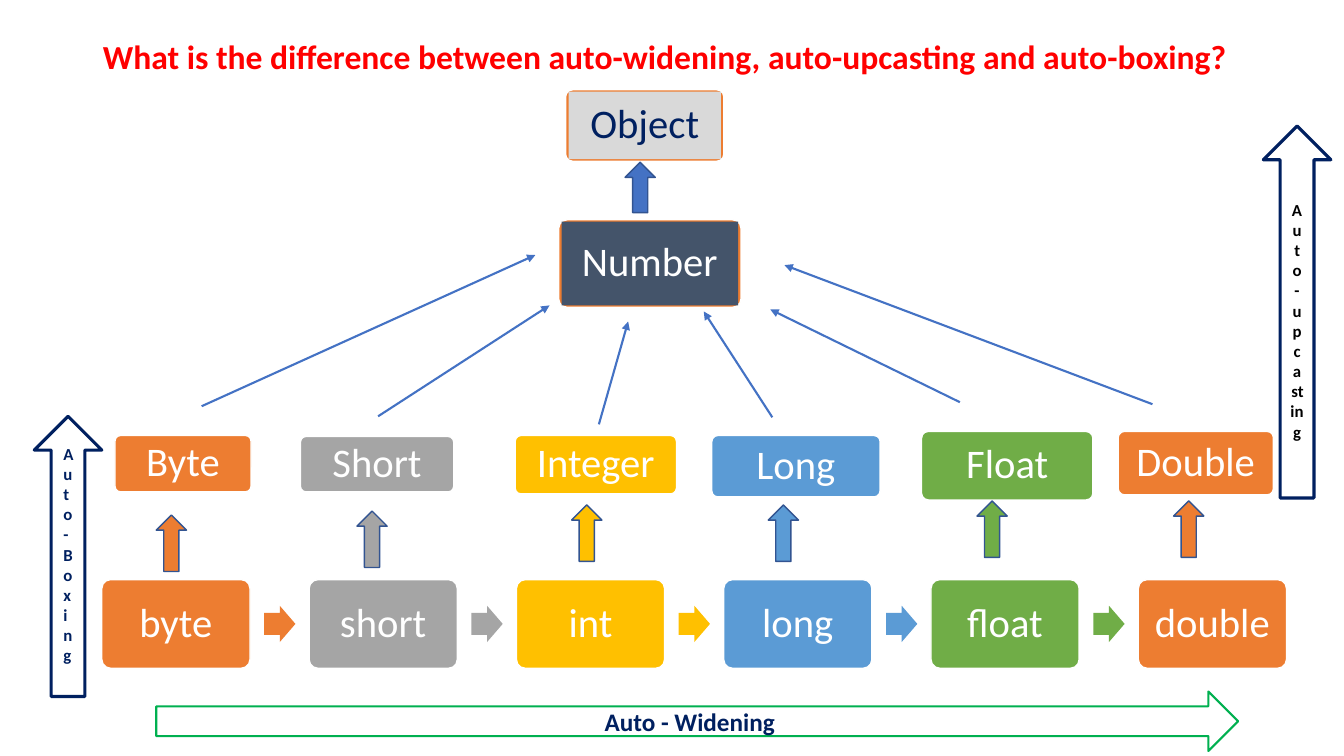
"""Build the slide on auto-widening, auto-upcasting and auto-boxing in Java."""
from lxml import etree
from pptx import Presentation
from pptx.dml.color import RGBColor
from pptx.enum.shapes import MSO_CONNECTOR, MSO_SHAPE
from pptx.enum.text import MSO_ANCHOR, PP_ALIGN
from pptx.oxml.ns import qn
from pptx.util import Inches, Pt

WHITE = RGBColor(0xFF, 0xFF, 0xFF)
BLACK = RGBColor(0x00, 0x00, 0x00)
RED = RGBColor(0xFF, 0x00, 0x00)
NAVY = RGBColor(0x00, 0x20, 0x60)
BLUE = RGBColor(0x44, 0x72, 0xC4)
DARK_BLUE = RGBColor(0x32, 0x54, 0x91)
SLATE = RGBColor(0x44, 0x54, 0x6A)
LIGHT_GRAY = RGBColor(0xD9, 0xD9, 0xD9)
ORANGE = RGBColor(0xED, 0x7D, 0x31)
GRAY = RGBColor(0xA5, 0xA5, 0xA5)
GOLD = RGBColor(0xFF, 0xC0, 0x00)
SKY = RGBColor(0x5B, 0x9B, 0xD5)
GREEN = RGBColor(0x70, 0xAD, 0x47)
BRIGHT_GREEN = RGBColor(0x00, 0xB0, 0x50)

presentation = Presentation()
presentation.slide_width = Inches(13.33)
presentation.slide_height = Inches(7.5)
slide = presentation.slides.add_slide(presentation.slide_layouts[5])


def write(shape, text, size, color, bold=False, align=PP_ALIGN.CENTER, spacing=1.0):
    frame = shape.text_frame
    frame.word_wrap = True
    frame.vertical_anchor = MSO_ANCHOR.MIDDLE
    paragraph = frame.paragraphs[0]
    paragraph.text = text
    paragraph.alignment = align
    paragraph.line_spacing = spacing
    paragraph.font.name = "Calibri"
    paragraph.font.size = Pt(size)
    paragraph.font.bold = bold
    paragraph.font.color.rgb = color


def add_shape(kind, box, fill=None, line=None, width=1):
    shape = slide.shapes.add_shape(kind, *map(Inches, box))
    shape.shadow.inherit = False
    if fill is None:
        shape.fill.background()
    else:
        shape.fill.solid()
        shape.fill.fore_color.rgb = fill
    if line is None:
        shape.line.fill.background()
    else:
        shape.line.color.rgb = line
        shape.line.width = Pt(width)
    if kind == MSO_SHAPE.ROUNDED_RECTANGLE:
        shape.adjustments[0] = 0.1
    return shape


title = slide.shapes.title
title.left, title.top, title.width, title.height = map(Inches, (0.92, 0.37, 11.5, 0.43))
write(title, "What is the difference between auto-widening, auto-upcasting and auto-boxing?",
      24, RED, bold=True, align=PP_ALIGN.LEFT, spacing=0.9)

superclasses = [
    ("Number", (5.54, 2.18, 1.81, 0.87), SLATE, WHITE),
    ("Object", (5.61, 0.89, 1.57, 0.71), LIGHT_GRAY, NAVY),
]
for name, (left, top, width, height), fill, color in superclasses:
    add_shape(MSO_SHAPE.ROUNDED_RECTANGLE, (left, top, width, height), ORANGE, WHITE)
    face = add_shape(MSO_SHAPE.RECTANGLE,
                     (left + 0.03, top + 0.02, width - 0.06, height - 0.04), fill)
    write(face, name, 29, color, spacing=0.9)
add_shape(MSO_SHAPE.UP_ARROW, (6.2, 1.61, 0.3, 0.5), BLUE, DARK_BLUE)

types = [
    ("Byte", (1.14, 4.32, 1.35, 0.56), "byte", (1.55, 5.11), ORANGE),
    ("Short", (2.98, 4.33, 1.52, 0.55), "short", (3.54, 5.07), GRAY),
    ("Integer", (5.11, 4.32, 1.6, 0.58), "int", (5.67, 5.01), GOLD),
    ("Long", (7.06, 4.32, 1.67, 0.61), "long", (7.62, 5.01), SKY),
    ("Float", (9.14, 4.28, 1.7, 0.68), "float", (9.69, 4.97), GREEN),
    ("Double", (11.09, 4.28, 1.54, 0.63), "double", (11.64, 4.97), ORANGE),
]
FIRST_LEFT, LAST_LEFT = 1.01, 11.29
pitch = (LAST_LEFT - FIRST_LEFT) / (len(types) - 1)
for index, (wrapper, wrapper_box, primitive, boxing_corner, color) in enumerate(types):
    left = FIRST_LEFT + index * pitch
    for name, box in ((wrapper, wrapper_box), (primitive, (left, 5.75, 1.47, 0.88))):
        card = add_shape(MSO_SHAPE.ROUNDED_RECTANGLE, box, color, WHITE)
        write(card, name, 29, WHITE, spacing=0.9)
    add_shape(MSO_SHAPE.UP_ARROW, (*boxing_corner, 0.3, 0.56), color, DARK_BLUE)
    if index < len(types) - 1:
        widening = add_shape(MSO_SHAPE.RIGHT_ARROW, (left + 1.61, 6.01, 0.31, 0.36), color)
        widening.adjustments[0] = 0.6

upcasts = [
    (2, 4.03, 5.31, 2.53),
    (3.75, 4.13, 5.45, 3.03),
    (5.94, 4.21, 6.23, 3.19),
    (7.66, 4.14, 6.98, 3.09),
    (9.52, 3.99, 7.64, 3.07),
    (11.43, 4.01, 7.78, 2.63),
]
for ends in upcasts:
    connector = slide.shapes.add_connector(MSO_CONNECTOR.STRAIGHT, *map(Inches, ends))
    connector.line.color.rgb = BLUE
    connector.line.width = Pt(1.5)
    etree.SubElement(connector.line._get_or_add_ln(), qn("a:tailEnd"), type="triangle")
    etree.SubElement(connector._element.spPr, qn("a:effectLst"))

upcasting = add_shape(MSO_SHAPE.UP_ARROW, (12.53, 1.25, 0.67, 3.69), line=NAVY, width=2.25)
write(upcasting, "Auto-upcasting", 12, BLACK, bold=True)

widening = add_shape(MSO_SHAPE.RIGHT_ARROW, (1.55, 6.86, 10.73, 0.59),
                     line=BRIGHT_GREEN, width=1.5)
write(widening, "Auto - Widening", 18, NAVY, bold=True)

boxing = slide.shapes.add_textbox(*map(Inches, (0.53, 4.34, 0.25, 2.32)))
write(boxing, "Auto-Boxing", 12, NAVY, bold=True, align=PP_ALIGN.LEFT)
add_shape(MSO_SHAPE.UP_ARROW, (0.34, 4.13, 0.67, 2.78), line=NAVY, width=2.25)

presentation.save("out.pptx")
